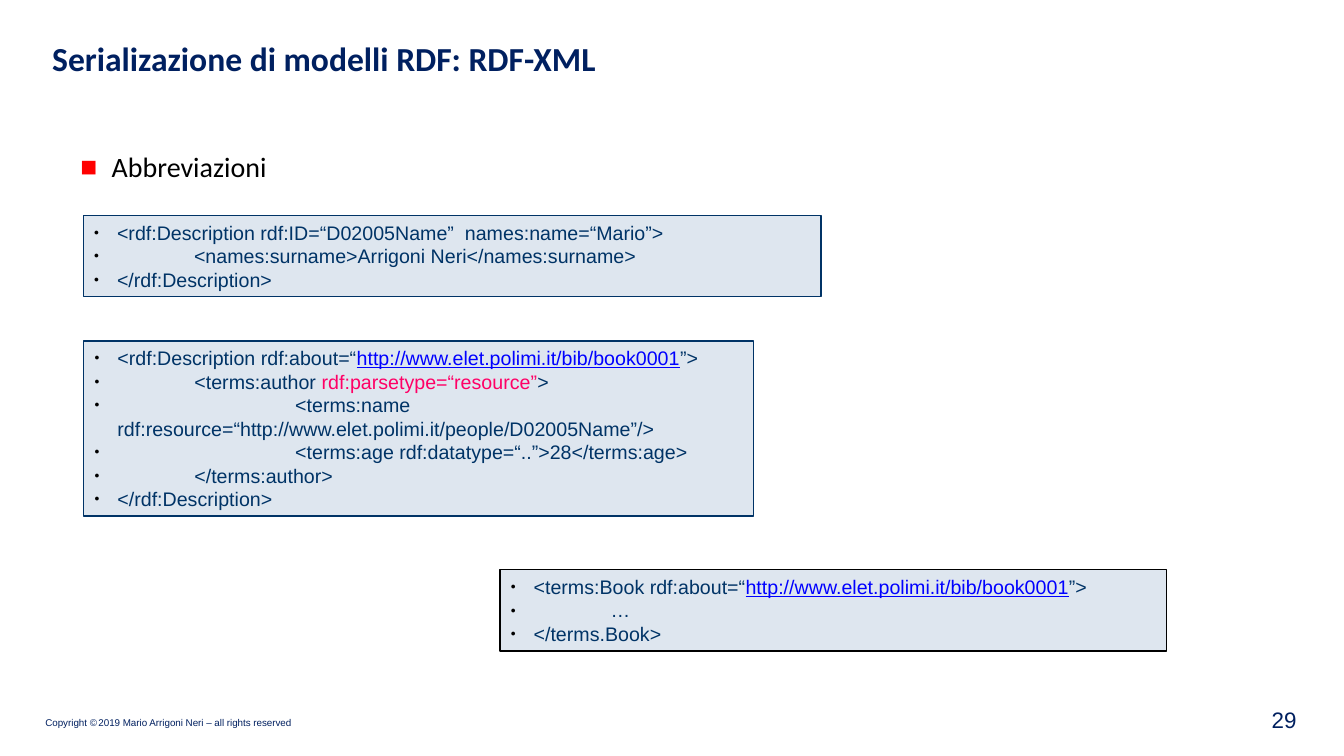
from dataclasses import dataclass

from lxml.etree import SubElement
from pptx import Presentation
from pptx.dml.color import RGBColor as RGB
from pptx.enum.shapes import MSO_SHAPE as SHAPE
from pptx.enum.text import MSO_ANCHOR as ANCHOR, PP_ALIGN as ALIGN
from pptx.oxml.ns import qn
from pptx.util import Pt


@dataclass(frozen=True)
class Theme:
    heading: str = "Calibri"
    body: str = "Arial"
    navy: str = "002060"
    black: str = "000000"
    red: str = "FF0000"
    code: str = "003366"
    link: str = "0000FF"
    accent: str = "FF0066"
    panel: str = "DEE6EF"
    title_size: int = 24
    topic_size: int = 20
    number_size: int = 16
    code_size: int = 14
    footer_size: int = 7
    gap_size: int = 4


T = Theme()

# Run formats
TITLE = dict(name=T.heading, size=T.title_size, color=T.navy, bold=True)
TOPIC = dict(name=T.heading, size=T.topic_size, color=T.black)
NUMBER = dict(name=T.body, size=T.number_size, color=T.navy)
FOOTER = dict(name=T.body, size=T.footer_size, color=T.navy)
GAP = FOOTER | dict(size=T.gap_size)
CODE = dict(name=T.body, size=T.code_size, color=T.code)
LINK = CODE | dict(color=T.link, underline=True)
ACCENT = CODE | dict(color=T.accent)

# Code listings: each line is a list of (text, format) runs
BOOK = ("http://www.elet.polimi.it/bib/book0001", LINK)
NAME_CODE = [
    [("<rdf:Description rdf:ID=“D02005Name”  names:name=“Mario”>", CODE)],
    [("\t<names:surname>Arrigoni Neri</names:surname>", CODE)],
    [("</rdf:Description>", CODE)],
]
AUTHOR_CODE = [
    [("<rdf:Description rdf:about=“", CODE), BOOK, ("”>", CODE)],
    [("\t<terms:author ", CODE), ("rdf:parsetype=“resource”", ACCENT), (">", CODE)],
    [("\t\t<terms:name rdf:resource=“http://www.elet.polimi.it/people/D02005Name”/>", CODE)],
    [("\t\t<terms:age rdf:datatype=“..”>28</terms:age>", CODE)],
    [("\t</terms:author>", CODE)],
    [("</rdf:Description>", CODE)],
]
BOOK_CODE = [
    [("<terms:Book rdf:about=“", CODE), BOOK, ("”>", CODE)],
    [("\t…", CODE)],
    [("</terms.Book>", CODE)],
]


def add_runs(p, runs):
    for text, fmt in runs:
        r = p.add_run()
        r.text = text
        for key, value in fmt.items():
            if key == "color":
                r.font.color.rgb = RGB.from_string(value)
            else:
                setattr(r.font, key, Pt(value) if key == "size" else value)


def set_bullet(p, char, color, left, hang, percent=100):
    pPr = p._p.get_or_add_pPr()
    for key, value in dict(marL=Pt(left), indent=-Pt(hang), defTabSz=Pt(72)).items():
        pPr.set(key, str(value))
    SubElement(SubElement(pPr, qn("a:buClr")), qn("a:srgbClr")).set("val", color)
    SubElement(pPr, qn("a:buSzPct")).set("val", str(percent * 1000))
    SubElement(pPr, qn("a:buFont")).set("typeface", T.body)
    SubElement(pPr, qn("a:buChar")).set("char", char)


def set_frame(tf, wrap=True, anchor=ANCHOR.TOP, inset=(7.2, 3.6)):
    dx, dy = map(Pt, inset)
    fmt = dict(word_wrap=wrap, vertical_anchor=anchor, margin_left=dx,
               margin_right=dx, margin_top=dy, margin_bottom=dy)
    for key, value in fmt.items():
        setattr(tf, key, value)


def add_text(s, box, runs, align=ALIGN.LEFT, **frame):
    tf = s.shapes.add_textbox(*map(Pt, box)).text_frame
    set_frame(tf, **frame)
    p = tf.paragraphs[0]
    p.alignment = align
    add_runs(p, runs)
    return p


def add_code(s, box, lines, border=T.code):
    sp = s.shapes.add_shape(SHAPE.RECTANGLE, *map(Pt, box))
    sp.shadow.inherit = False
    sp.fill.solid()
    sp.fill.fore_color.rgb = RGB.from_string(T.panel)
    sp.line.color.rgb = RGB.from_string(border)
    sp.line.width = Pt(1)
    tf = sp.text_frame
    set_frame(tf)
    for i, runs in enumerate(lines):
        p = tf.add_paragraph() if i else tf.paragraphs[0]
        p.alignment = ALIGN.LEFT
        set_bullet(p, "●", T.black, left=17, hang=16.5, percent=45)
        add_runs(p, runs)


def main():
    prs = Presentation()
    prs.slide_width, prs.slide_height = Pt(960), Pt(540)
    s = prs.slides.add_slide(prs.slide_layouts[6])

    # Title and topic
    add_text(s, (30.2, 23.8, 900.7, 46.8),
             [("Serializazione di modelli RDF: RDF-XML", TITLE)])
    topic = add_text(s, (30.2, 103.5, 891.4, 32), [("Abbreviazioni", TOPIC)])
    set_bullet(topic, "■", T.red, left=42.5, hang=22.3)

    # Code panels
    add_code(s, (59.5, 154.1, 527, 57.9), NAME_CODE)
    add_code(s, (59.8, 243.6, 478.5, 124.9), AUTHOR_CODE)
    add_code(s, (357.1, 407, 476, 57.9), BOOK_CODE, border=T.black)

    # Footer
    add_text(s, (31, 510.5, 179.3, 11.5),
             [("Copyright ©", FOOTER), (" ", GAP),
              ("2019 Mario Arrigoni Neri – all rights reserved", FOOTER)],
             wrap=False, anchor=ANCHOR.BOTTOM, inset=(1.4, 1.4))
    add_text(s, (893.5, 501.1, 39.6, 25.2), [("29", NUMBER)],
             align=ALIGN.RIGHT, anchor=ANCHOR.MIDDLE)

    prs.save("out.pptx")


if __name__ == "__main__":
    main()
